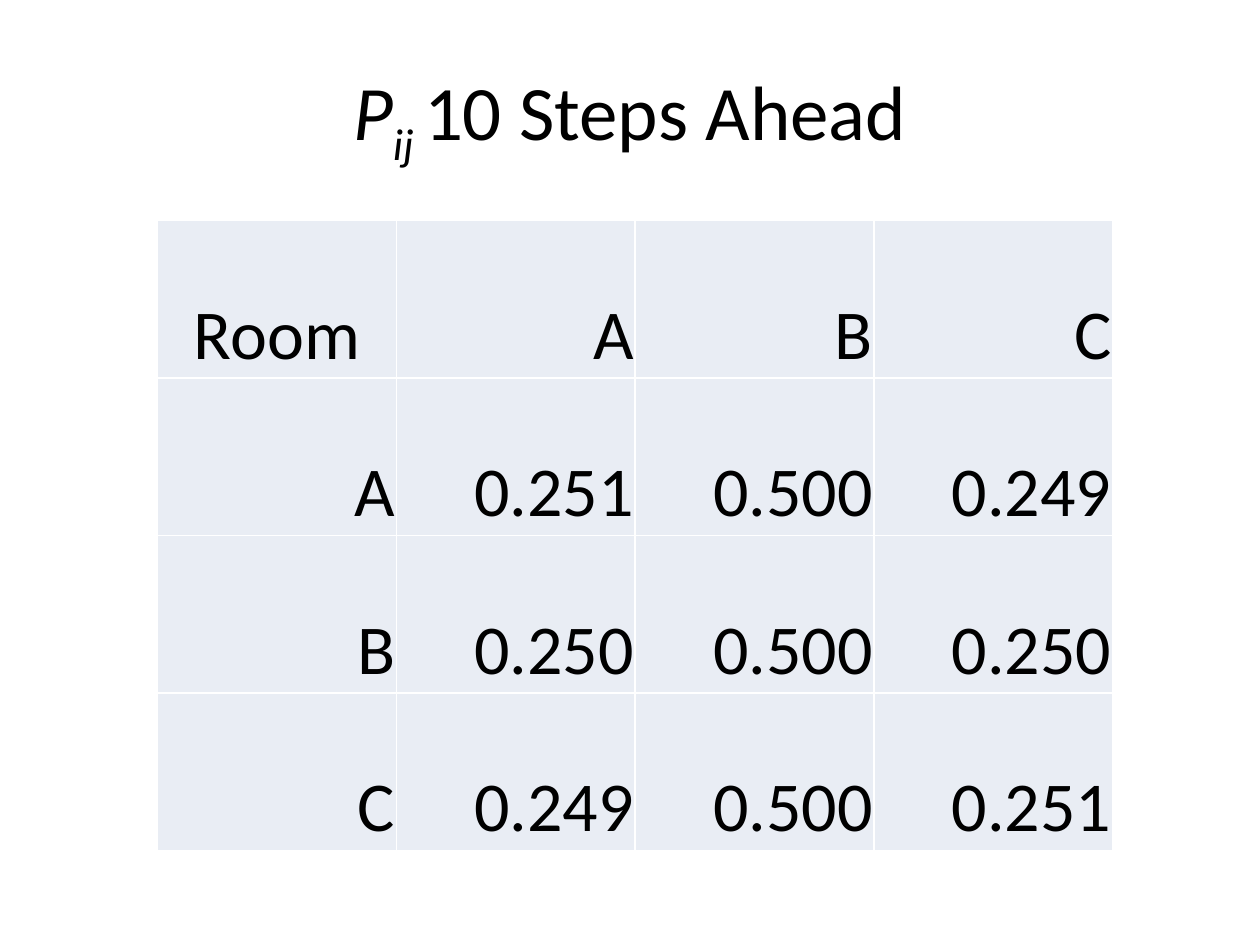
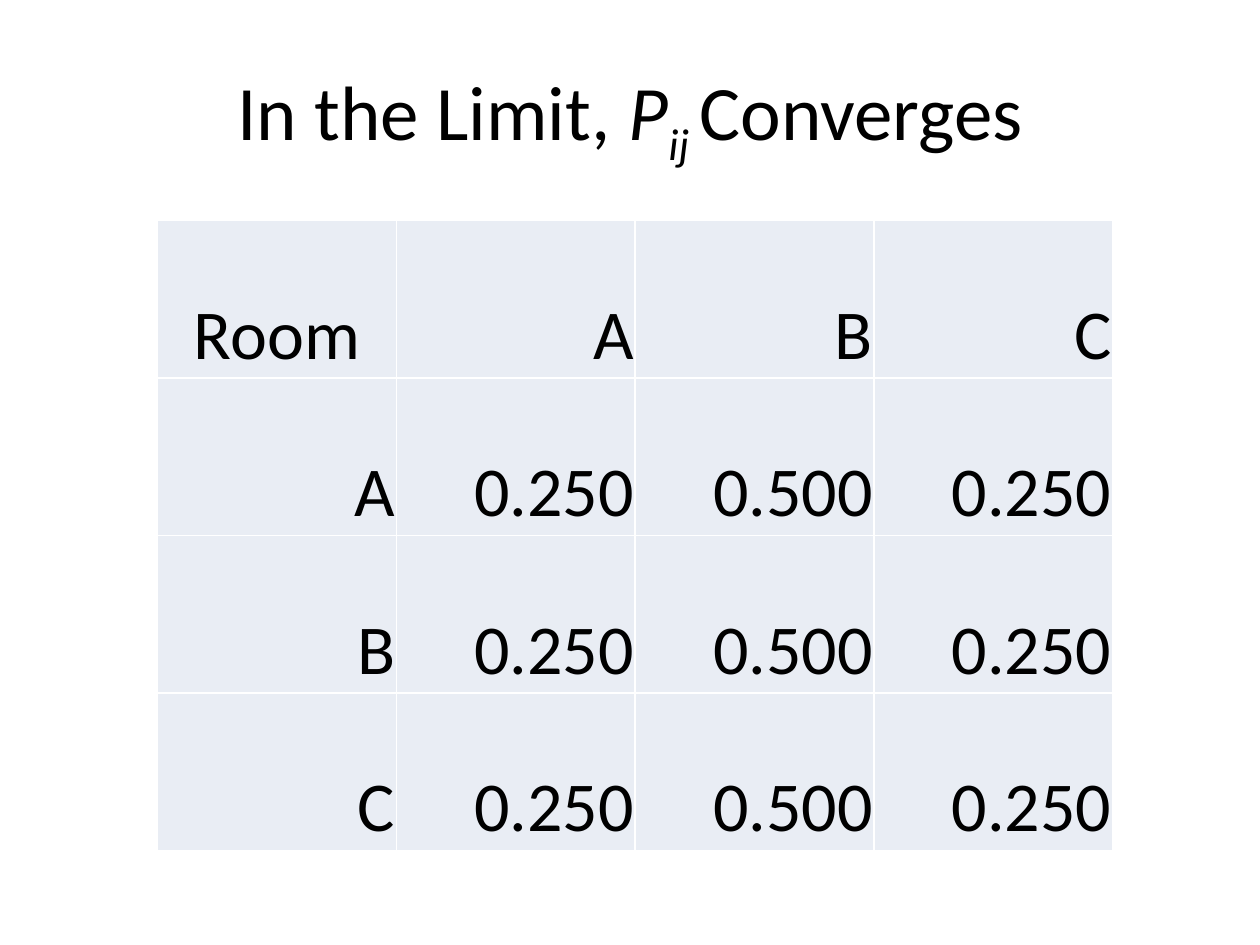
from lxml.etree import SubElement
from pptx import Presentation
from pptx.dml.color import RGBColor
from pptx.enum.text import MSO_ANCHOR as Anchor, PP_ALIGN as Align
from pptx.oxml.ns import qn
from pptx.util import Inches, Pt

ROOMS = ["A", "B", "C"]
PLAIN, ITALIC, SUBSCRIPT = "plain", "italic", "subscript"
SLIDES = [
    {
        "title": [("P", ITALIC), ("ij ", SUBSCRIPT), ("10 Steps Ahead", PLAIN)],
        "probabilities": [
            ["0.251", "0.500", "0.249"],
            ["0.250", "0.500", "0.250"],
            ["0.249", "0.500", "0.251"],
        ],
    },
    {
        "title": [("In the Limit, ", PLAIN), ("P", ITALIC),
                  ("ij ", SUBSCRIPT), ("Converges", PLAIN)],
        "probabilities": [["0.250", "0.500", "0.250"]] * len(ROOMS),
    },
]

FONT = "Calibri"
TEXT, CELL, BORDER = "000000", "E9EDF4", "FFFFFF"
TITLE_BOX = [Inches(n) for n in (0.5, 0.3, 9, 1.25)]
TABLE_BOX = [Inches(n) for n in (1.25, 1.75, 7.58, 5)]
SUBSCRIPT_BASELINE = "-25000"


def color(hex_string):
    return RGBColor.from_string(hex_string)


def style_paragraph(paragraph, size, align):
    paragraph.alignment = align
    paragraph.font.name = FONT
    paragraph.font.size = Pt(size)
    paragraph.font.color.rgb = color(TEXT)


def fill_title(title, pieces):
    title.left, title.top, title.width, title.height = TITLE_BOX
    title.text_frame.vertical_anchor = Anchor.MIDDLE
    heading = title.text_frame.paragraphs[0]
    style_paragraph(heading, 44, Align.CENTER)
    for text, look in pieces:
        run = heading.add_run()
        run.text = text
        run.font.italic = look != PLAIN
    run_properties = title.element.iter(qn("a:rPr"))
    for properties, (_, look) in zip(run_properties, pieces):
        if look == SUBSCRIPT:
            properties.set("baseline", SUBSCRIPT_BASELINE)


def draw_borders(table_frame):
    """Line all four sides of each cell; lines must precede the cell fill."""
    for properties in table_frame.element.iter(qn("a:tcPr")):
        for position, side in enumerate(("a:lnL", "a:lnR", "a:lnT", "a:lnB")):
            line = SubElement(properties, qn(side), w=str(Pt(1)))
            fill = SubElement(line, qn("a:solidFill"))
            SubElement(fill, qn("a:srgbClr"), val=BORDER)
            properties.insert(position, line)


def fill_cell(cell, text, align):
    cell.text = text
    cell.vertical_anchor = Anchor.BOTTOM
    cell.margin_left = cell.margin_right = cell.margin_top = Inches(0.01)
    cell.margin_bottom = 0
    cell.fill.solid()
    cell.fill.fore_color.rgb = color(CELL)
    style_paragraph(cell.text_frame.paragraphs[0], 40, align)


def add_transition_table(slide, probabilities):
    grid = [["Room", *ROOMS]]
    grid += [[room, *row] for room, row in zip(ROOMS, probabilities)]
    frame = slide.shapes.add_table(len(grid), len(grid[0]), *TABLE_BOX)
    table = frame.table
    table.first_row = table.horz_banding = False
    for r, row in enumerate(grid):
        for c, text in enumerate(row):
            corner = r == c == 0
            fill_cell(table.cell(r, c), text, Align.CENTER if corner else Align.RIGHT)
    draw_borders(frame)


def main():
    deck = Presentation()
    deck.slide_width, deck.slide_height = Inches(10), Inches(7.5)
    title_only = deck.slide_layouts.get_by_name("Title Only")
    for content in SLIDES:
        slide = deck.slides.add_slide(title_only)
        fill_title(slide.shapes.title, content["title"])
        add_transition_table(slide, content["probabilities"])
    deck.save("out.pptx")


if __name__ == "__main__":
    main()
